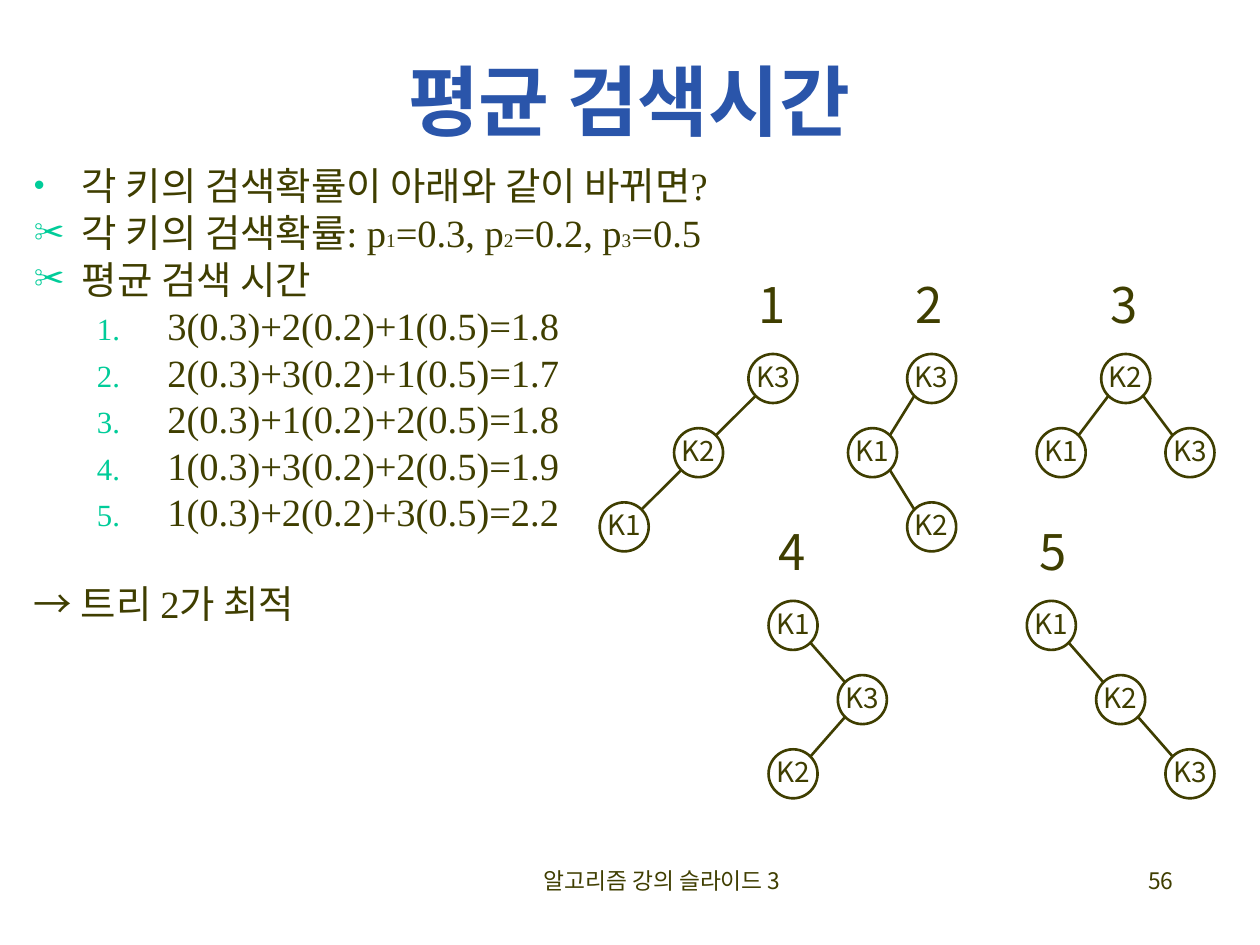
from dataclasses import dataclass
from math import sqrt

from lxml import etree
from pptx import Presentation
from pptx.dml.color import RGBColor
from pptx.enum.shapes import MSO_CONNECTOR, MSO_SHAPE
from pptx.enum.text import MSO_ANCHOR, MSO_AUTO_SIZE, PP_ALIGN
from pptx.oxml.ns import qn
from pptx.util import Pt

CENTER, RIGHT = PP_ALIGN.CENTER, PP_ALIGN.RIGHT
MIDDLE = MSO_ANCHOR.MIDDLE
OVAL, STRAIGHT = MSO_SHAPE.OVAL, MSO_CONNECTOR.STRAIGHT

INK = RGBColor(0x3F, 0x3E, 0x00)
TITLE_BLUE = RGBColor(0x2A, 0x55, 0xAA)
BULLET_GREEN = RGBColor(0x00, 0xCC, 0x99)
SERIF, SANS, ARROW_FONT = "Times New Roman", "Noto Sans CJK KR", "Arial"

BODY_SIZE, SMALL_SIZE = 22, 11
NODE = 28
LEVEL_HEIGHT = 42.4
DIAGONAL = NODE / 2 / sqrt(2)  # from a node's centre to its edge at 45 degrees
LABEL_WIDTH, LABEL_HEIGHT, LABEL_RISE = 30, 37.4, 45.3


@dataclass
class Run:
    text: str
    size: float = BODY_SIZE
    font: str = SERIF


@dataclass
class Item:
    runs: list[Run]
    bullet: str = ""
    numbered: bool = False
    space_before: float = 5.5


@dataclass
class Node:
    key: str
    left: float
    level: int


@dataclass
class Tree:
    label: str
    label_left: float
    top: float
    nodes: list[Node]
    edges: list[tuple[int, int]]  # (parent, child) positions in nodes


PROBABILITIES = [
    Run("각 키의 검색확률: p"), Run("1", SMALL_SIZE),
    Run("=0.3, p"), Run("2", SMALL_SIZE),
    Run("=0.2, p"), Run("3", SMALL_SIZE), Run("=0.5"),
]
AVERAGES = [
    "3(0.3)+2(0.2)+1(0.5)=1.8",
    "2(0.3)+3(0.2)+1(0.5)=1.7",
    "2(0.3)+1(0.2)+2(0.5)=1.8",
    "1(0.3)+3(0.2)+2(0.5)=1.9",
    "1(0.3)+2(0.2)+3(0.5)=2.2",
]
ITEMS = [
    Item([Run("각 키의 검색확률이 아래와 같이 바뀌면?")], "•", space_before=0),
    Item(PROBABILITIES, "✂"),
    Item([Run("평균 검색 시간")], "✂"),
    *[Item([Run(average)], numbered=True) for average in AVERAGES],
    Item([Run("→ ", font=ARROW_FONT), Run("트리 2가 최적")], space_before=31),
]

UPPER, LOWER = 202.3, 343.4
CHAIN, FORK = [(0, 1), (1, 2)], [(0, 1), (0, 2)]
TREES = [
    Tree("1", 426.2, UPPER,
         [Node("K3", 427.7, 0), Node("K2", 385.2, 1), Node("K1", 342.7, 2)], CHAIN),
    Tree("2", 516.2, UPPER,
         [Node("K3", 518.4, 0), Node("K1", 484.6, 1), Node("K2", 518.4, 2)], CHAIN),
    Tree("3", 627.1, UPPER,
         [Node("K2", 629.3, 0), Node("K1", 592.4, 1), Node("K3", 666, 1)], FORK),
    Tree("4", 437.8, LOWER,
         [Node("K1", 439.2, 0), Node("K3", 478.8, 1), Node("K2", 439.2, 2)], CHAIN),
    Tree("5", 586.8, LOWER,
         [Node("K1", 586.8, 0), Node("K2", 626.4, 1), Node("K3", 666, 2)], CHAIN),
]


def place(shape, left: float, top: float, width: float, height: float) -> None:
    shape.left, shape.top = Pt(left), Pt(top)
    shape.width, shape.height = Pt(width), Pt(height)


def style(font, size: float, name: str = SANS, color: RGBColor = INK) -> None:
    font.size, font.name, font.color.rgb = Pt(size), name, color


def add_text(slide, text: str, box: tuple, size: float, align, wrap: bool = True) -> None:
    shape = slide.shapes.add_textbox(*map(Pt, box))
    shape.text_frame.word_wrap = wrap
    paragraph = shape.text_frame.paragraphs[0]
    paragraph.text, paragraph.alignment = text, align
    if not wrap:
        paragraph.line_spacing = 0.9
    style(paragraph.font, size)


def set_bullet(paragraph, item: Item) -> None:
    margin, hanging = (76.3, 40.3) if item.numbered else (27.4, 27.4)
    properties = paragraph._p.get_or_add_pPr()
    properties.set("marL", str(Pt(margin)))
    properties.set("indent", str(-Pt(hanging)))
    if not (item.bullet or item.numbered):
        etree.SubElement(properties, qn("a:buNone"))
        return
    color = etree.SubElement(properties, qn("a:buClr"))
    etree.SubElement(color, qn("a:srgbClr"), val=str(BULLET_GREEN))
    etree.SubElement(properties, qn("a:buSzPct"), val="80000")
    if item.numbered:
        etree.SubElement(properties, qn("a:buAutoNum"), type="arabicPeriod")
    else:
        etree.SubElement(properties, qn("a:buChar"), char=item.bullet)


def fill_body(body, items: list[Item]) -> None:
    frame = body.text_frame
    frame.auto_size = MSO_AUTO_SIZE.NONE
    for index, item in enumerate(items):
        paragraph = frame.add_paragraph() if index else frame.paragraphs[0]
        paragraph.level = int(item.numbered)
        set_bullet(paragraph, item)
        paragraph.line_spacing = 0.8
        paragraph.space_before = Pt(item.space_before)
        style(paragraph.font, BODY_SIZE, SERIF)
        for part in item.runs:
            run = paragraph.add_run()
            run.text = part.text
            if len(item.runs) > 1:
                style(run.font, part.size, part.font)


def add_node(slide, node: Node, top: float) -> None:
    shape = slide.shapes.add_shape(OVAL, Pt(node.left), Pt(top), Pt(NODE), Pt(NODE))
    shape.shadow.inherit = False
    shape.fill.background()
    shape.line.color.rgb, shape.line.width = INK, Pt(1.5)
    frame = shape.text_frame
    frame.word_wrap, frame.vertical_anchor = False, MIDDLE
    paragraph = frame.paragraphs[0]
    paragraph.text, paragraph.alignment = node.key, CENTER
    paragraph.line_spacing = 0.9
    style(paragraph.font, 16)


def add_edge(slide, parent: Node, child: Node, top: float) -> None:
    side = DIAGONAL if child.left > parent.left else -DIAGONAL
    middle = top + NODE / 2
    line = slide.shapes.add_connector(
        STRAIGHT,
        Pt(parent.left + NODE / 2 + side), Pt(middle + parent.level * LEVEL_HEIGHT + DIAGONAL),
        Pt(child.left + NODE / 2 - side), Pt(middle + child.level * LEVEL_HEIGHT - DIAGONAL))
    line.line.color.rgb, line.line.width = INK, Pt(1.5)
    etree.SubElement(line._element.spPr, qn("a:effectLst"))


def add_tree(slide, tree: Tree) -> None:
    for node in tree.nodes:
        add_node(slide, node, tree.top + node.level * LEVEL_HEIGHT)
    for parent, child in tree.edges:
        add_edge(slide, tree.nodes[parent], tree.nodes[child], tree.top)
    label_box = (tree.label_left, tree.top - LABEL_RISE, LABEL_WIDTH, LABEL_HEIGHT)
    add_text(slide, tree.label, label_box, 28, CENTER, wrap=False)


def main() -> None:
    presentation = Presentation()
    presentation.slide_width, presentation.slide_height = Pt(720), Pt(540)
    slide = presentation.slides.add_slide(presentation.slide_layouts[1])

    # Title
    title = slide.shapes.title
    place(title, 19.5, 20.2, 680.4, 73.4)
    title.text_frame.vertical_anchor = MIDDLE
    paragraph = title.text_frame.paragraphs[0]
    paragraph.text, paragraph.alignment = "평균 검색시간", CENTER
    style(paragraph.font, 44, SERIF, TITLE_BLUE)
    paragraph.font.bold = True

    # List of probabilities and averages
    body = slide.placeholders[1]
    place(body, 12.2, 94.3, 665.3, 283.7)
    fill_body(body, ITEMS)

    # Search trees
    for tree in TREES:
        add_tree(slide, tree)

    # Footer and page number
    add_text(slide, "알고리즘 강의 슬라이드 3", (264.2, 491.8, 228.2, 36), 13, CENTER)
    add_text(slide, "56", (527.8, 491.8, 149.8, 36), 13, RIGHT)

    presentation.save("out.pptx")


if __name__ == "__main__":
    main()
